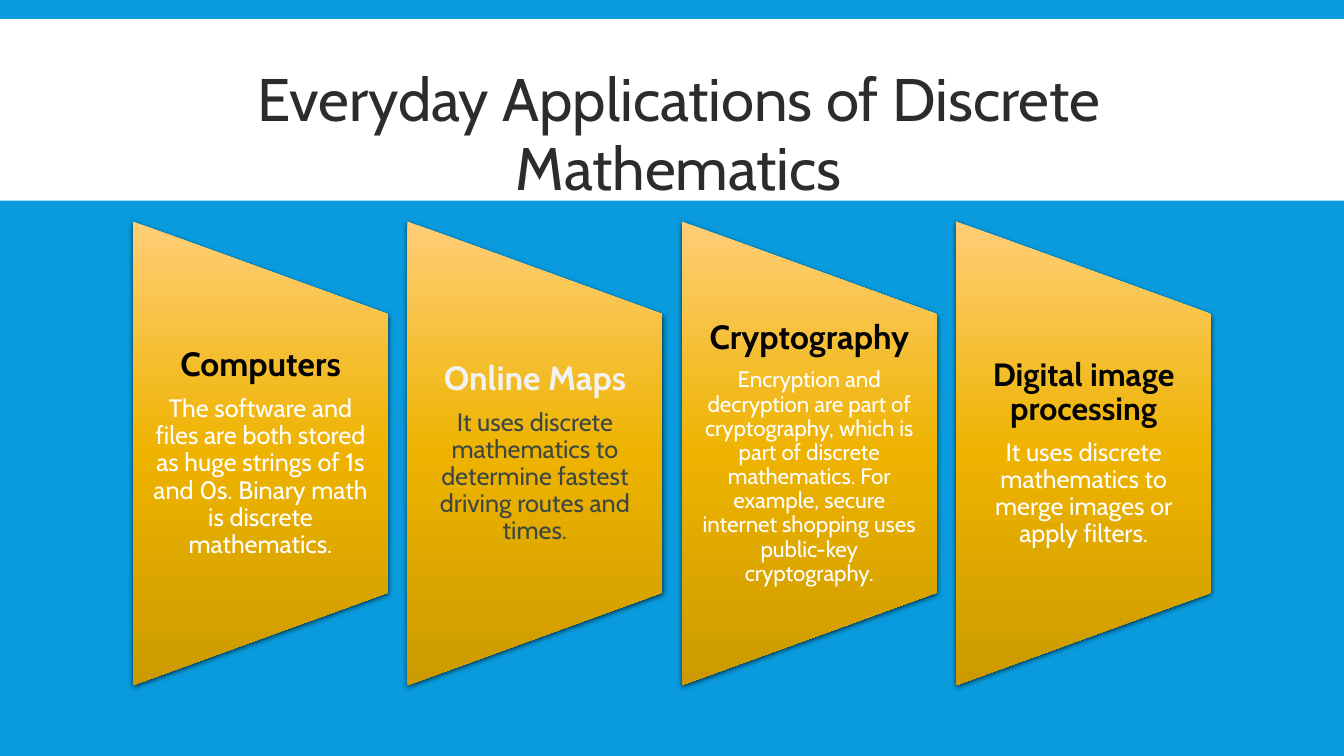
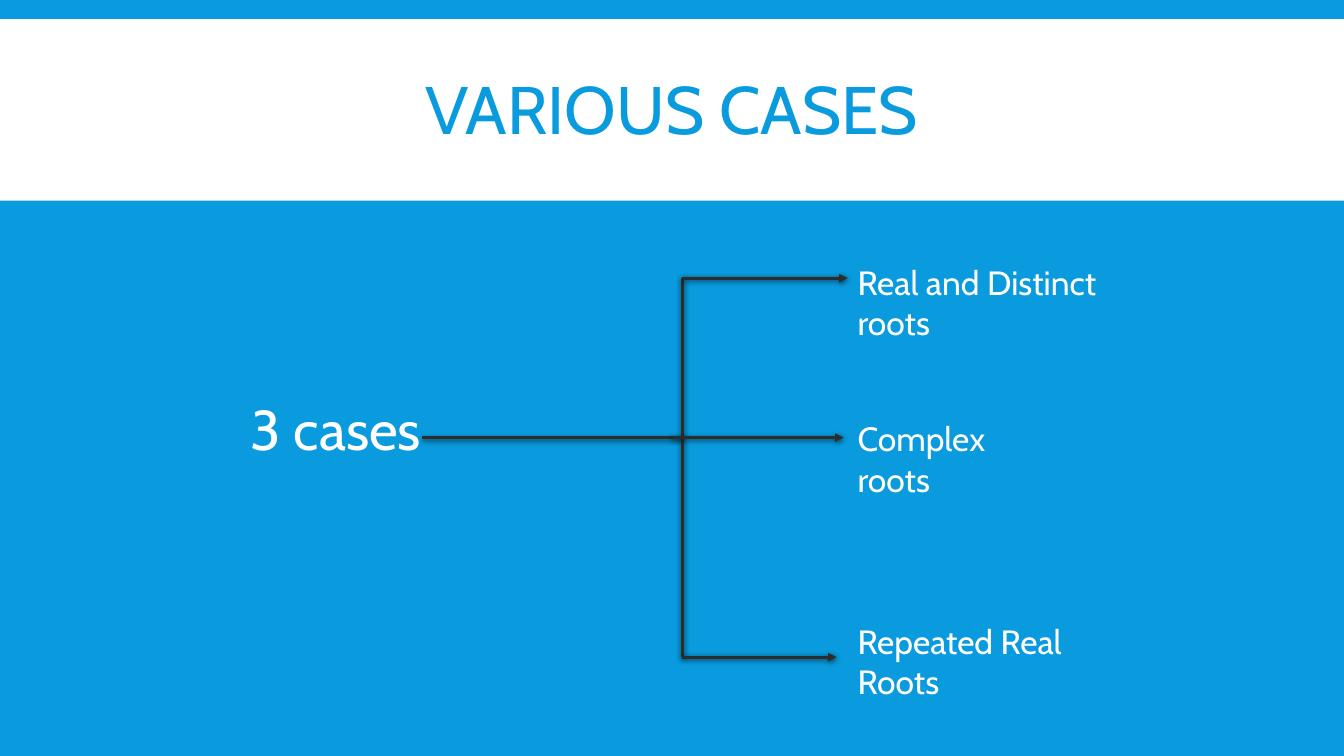
import copy
from dataclasses import dataclass
from typing import Any

import pptx
import pptx.dml.color
import pptx.enum.shapes
import pptx.enum.text
import pptx.oxml
import pptx.oxml.ns
import pptx.util
from lxml import etree

Pt = pptx.util.Pt
qn = pptx.oxml.ns.qn
ALIGN = pptx.enum.text.PP_ALIGN
ANCHOR = pptx.enum.text.MSO_ANCHOR
SHAPE = pptx.enum.shapes.MSO_SHAPE

COLORS = {
    "blue": "099BDD",
    "white": "FFFFFF",
    "ink": "2C2C2C",
    "black": "040404",
    "pale": "F2F2F2",
    "slate": "3C4743",
    "gold_light": "FFCE77",
    "gold": "EEB300",
    "gold_dark": "CC9A00",
}
FONT_NAME = "Cabin"
SLIDE_WIDTH, SLIDE_HEIGHT = 960, 540
BAND_TOP, BAND_HEIGHT = 13.7, 129.6

CARD_LEFT, CARD_PITCH = 95, 196
CARD_WIDTH, CARD_HEIGHT = 182.2, 331.2
CARD_MIDDLE = 323.8
CARD_TEXT_HEIGHT = 198.8

TRUNK_X, MIDDLE_Y = 487.5, 312.5
TOP_Y, BOTTOM_Y = 198.7, 469.4
CASE_LEFT = 605.5


@dataclass(frozen=True)
class Box:
    left: float
    top: float
    width: float
    height: float

    def lengths(self) -> tuple[Any, ...]:
        return tuple(Pt(value) for value in (self.left, self.top, self.width, self.height))


@dataclass(frozen=True)
class TextStyle:
    size: float
    color: str
    bold: bool = False
    line_spacing: float = 1.0
    align: Any = ALIGN.LEFT
    space_after: float = 0


@dataclass(frozen=True)
class Card:
    heading: str
    body: str
    heading_size: float = 24
    heading_color: str = "black"
    body_size: float = 18
    body_color: str = "white"


@dataclass(frozen=True)
class Branch:
    start: tuple[float, float]
    end: tuple[float, float]
    arrow: bool = False


@dataclass(frozen=True)
class CaseLabel:
    text: str
    box: Box
    size: float = 24
    wrap: bool = False


CARDS = (
    Card(
        "Computers",
        "The software and files are both stored as huge strings of 1s and 0s. Binary math is discrete mathematics.",
    ),
    Card(
        "Online Maps",
        "It uses discrete mathematics to determine fastest driving routes and times.",
        heading_color="pale",
        body_color="slate",
    ),
    Card(
        "Cryptography",
        "Encryption and decryption are part of cryptography, which is part of discrete mathematics. "
        "For example, secure internet shopping uses public-key cryptography.",
        body_size=16,
    ),
    Card(
        "Digital image processing",
        "It uses discrete mathematics to merge images or apply filters.",
        heading_size=23,
    ),
)

BRANCHES = (
    Branch((301.7, MIDDLE_Y), (TRUNK_X, MIDDLE_Y)),
    Branch((TRUNK_X, TOP_Y), (TRUNK_X, BOTTOM_Y)),
    Branch((TRUNK_X, TOP_Y), (605.5, TOP_Y), True),
    Branch((480, MIDDLE_Y), (602.6, MIDDLE_Y), True),
    Branch((TRUNK_X, BOTTOM_Y), (597.6, BOTTOM_Y), True),
)

CASE_LABELS = (
    CaseLabel("3 cases", Box(172, 278, 163, 55.7), 40, True),
    CaseLabel("Real and Distinct\vroots", Box(CASE_LEFT, 183.6, 240, 36)),
    CaseLabel("Complex\vroots", Box(CASE_LEFT, 295.2, 156, 36)),
    CaseLabel("Repeated Real\vRoots", Box(CASE_LEFT, 439.9, 217, 36)),
)


def rgb(name: str) -> Any:
    return pptx.dml.color.RGBColor.from_string(COLORS[name])


def apply_format(target: Any, values: dict[str, Any]) -> None:
    for name, value in values.items():
        setattr(target, name, value)


def write_paragraph(paragraph: Any, text: str, style: TextStyle) -> None:
    paragraph.text = text
    apply_format(paragraph, {
        "alignment": style.align,
        "line_spacing": style.line_spacing,
        "space_before": Pt(0),
        "space_after": Pt(style.space_after),
    })
    for run in paragraph.runs:
        apply_format(run.font, {"name": FONT_NAME, "size": Pt(style.size), "bold": style.bold})
        run.font.color.rgb = rgb(style.color)


def add_shadow(shape: Any) -> None:
    effects = etree.SubElement(shape._element.spPr, qn("a:effectLst"))
    shadow = etree.SubElement(
        effects, qn("a:outerShdw"),
        blurRad=str(Pt(4)), dist=str(Pt(1.2)), dir="5400000", rotWithShape="0",
    )
    color = etree.SubElement(shadow, qn("a:srgbClr"), val="000000")
    etree.SubElement(color, qn("a:alpha"), val="68000")


def add_titled_slide(presentation: Any, title: str, box: Box, style: TextStyle) -> Any:
    slide = presentation.slides.add_slide(presentation.slide_layouts[5])
    band = slide.shapes.add_shape(
        SHAPE.RECTANGLE, *Box(0, BAND_TOP, SLIDE_WIDTH, BAND_HEIGHT).lengths()
    )
    band.shadow.inherit = False
    band.fill.solid()
    band.fill.fore_color.rgb = rgb("white")
    band.line.fill.background()
    placeholder = slide.shapes.title
    placeholder._element.addprevious(band._element)
    apply_format(placeholder, dict(zip(("left", "top", "width", "height"), box.lengths())))
    apply_format(placeholder.text_frame, {
        "auto_size": pptx.enum.text.MSO_AUTO_SIZE.NONE,
        "vertical_anchor": ANCHOR.MIDDLE,
        "word_wrap": True,
    })
    write_paragraph(placeholder.text_frame.paragraphs[0], title, style)
    return slide


def fill_gold(shape: Any) -> None:
    shape.fill.gradient()
    shape.fill.gradient_angle = 180
    stop_list = shape._element.spPr.find(".//" + qn("a:gsLst"))
    stop_list.append(copy.deepcopy(stop_list[0]))
    stops = zip(shape.fill.gradient_stops, ("gold_light", "gold", "gold_dark"), (0, 0.5, 1))
    for stop, color, position in stops:
        stop.color.rgb = rgb(color)
        stop.position = position


def add_card(slide: Any, card: Card, left: float) -> None:
    outline = Box(
        left + (CARD_WIDTH - CARD_HEIGHT) / 2, CARD_MIDDLE - CARD_WIDTH / 2,
        CARD_HEIGHT, CARD_WIDTH,
    )
    panel = slide.shapes.add_shape(SHAPE.FLOWCHART_MANUAL_OPERATION, *outline.lengths())
    panel.rotation = 270
    fill_gold(panel)
    panel.line.fill.background()
    add_shadow(panel)

    text_box = Box(left, CARD_MIDDLE - CARD_TEXT_HEIGHT / 2, CARD_WIDTH, CARD_TEXT_HEIGHT)
    frame = slide.shapes.add_textbox(*text_box.lengths()).text_frame
    apply_format(frame, {
        "word_wrap": True,
        "vertical_anchor": ANCHOR.MIDDLE,
        "margin_left": Pt(12),
        "margin_right": Pt(12),
        "margin_top": Pt(0),
        "margin_bottom": Pt(0),
    })
    heading = TextStyle(card.heading_size, card.heading_color, True, 0.9, ALIGN.CENTER, 8.4)
    body = TextStyle(card.body_size, card.body_color, False, 0.9, ALIGN.CENTER)
    write_paragraph(frame.paragraphs[0], card.heading, heading)
    write_paragraph(frame.add_paragraph(), card.body, body)


def add_branch(slide: Any, branch: Branch) -> None:
    ends = (Pt(value) for value in (*branch.start, *branch.end))
    connector = slide.shapes.add_connector(pptx.enum.shapes.MSO_CONNECTOR.STRAIGHT, *ends)
    connector.line.width = Pt(2)
    connector.line.color.rgb = rgb("ink")
    if branch.arrow:
        line = connector._element.spPr.find(qn("a:ln"))
        etree.SubElement(line, qn("a:tailEnd"), type="triangle")
    add_shadow(connector)


def add_case_label(slide: Any, label: CaseLabel) -> None:
    frame = slide.shapes.add_textbox(*label.box.lengths()).text_frame
    frame.word_wrap = label.wrap
    write_paragraph(frame.paragraphs[0], label.text, TextStyle(label.size, "white"))


def main() -> None:
    presentation = pptx.Presentation()
    apply_format(presentation, {"slide_width": Pt(SLIDE_WIDTH), "slide_height": Pt(SLIDE_HEIGHT)})
    background = presentation.slide_master.background.fill
    background.solid()
    background.fore_color.rgb = rgb("blue")

    applications = add_titled_slide(
        presentation,
        "Everyday Applications of Discrete Mathematics",
        Box(105.8, 43.2, 758.2, 107.3),
        TextStyle(42.9, "ink", line_spacing=0.95, align=ALIGN.CENTER),
    )
    for index, card in enumerate(CARDS):
        add_card(applications, card, CARD_LEFT + index * CARD_PITCH)

    cases = add_titled_slide(
        presentation,
        "VARIOUS CASES",
        Box(95, 22.3, 770, 118.8),
        TextStyle(48, "blue", line_spacing=0.85, align=ALIGN.CENTER),
    )
    for branch in BRANCHES:
        add_branch(cases, branch)
    for label in CASE_LABELS:
        add_case_label(cases, label)

    presentation.save("out.pptx")


if __name__ == "__main__":
    main()
